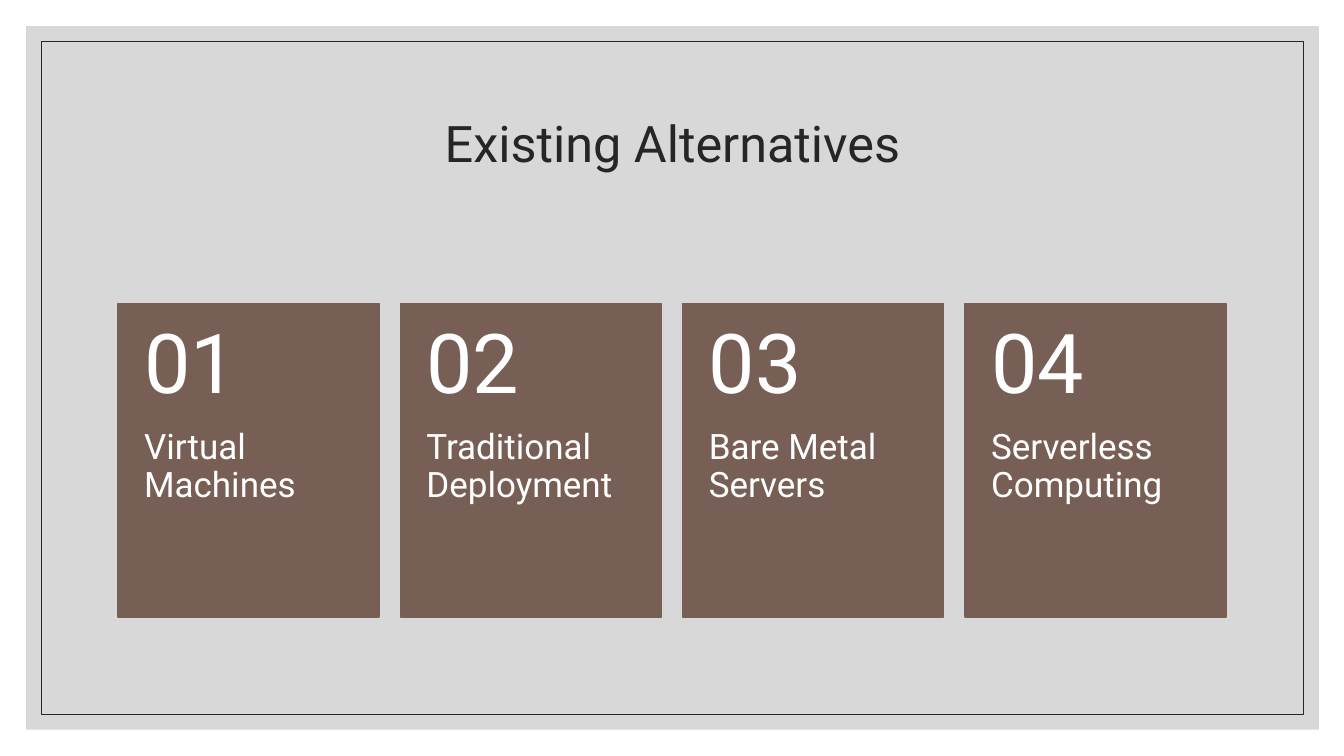
from lxml.etree import SubElement
from pptx import Presentation
from pptx.dml.color import RGBColor
from pptx.enum.shapes import MSO_SHAPE as Shape
from pptx.enum.text import MSO_ANCHOR as Anchor, MSO_AUTO_SIZE as Fit, PP_ALIGN as Align
from pptx.oxml.ns import qn
from pptx.util import Inches, Pt

# Content
TITLE = "Existing Alternatives"
CARDS = ["Virtual Machines", "Traditional Deployment",
         "Bare Metal Servers", "Serverless Computing"]

# Look
FONT = "Roboto"
DARK, WHITE, BROWN, GRAY = "262626", "FFFFFF", "775F55", "BFBFBF"
WIDE, HIGH = 13.33, 7.5
LEFT, TOP, STEP = 1.17, 3.01, 2.8
CARD_W, CARD_H, HEAD_H = 2.59, 3.11, 1.25


def color(code):
    return RGBColor.from_string(code)


def box(at, fill=None, line=None, width=1):
    rect = slide.shapes.add_shape(Shape.RECTANGLE, *map(Inches, at))
    rect.shadow.inherit = False
    if fill:
        rect.fill.solid()
        rect.fill.fore_color.rgb = color(fill)
    else:
        rect.fill.background()
    if line:
        rect.line.color.rgb = color(line)
        rect.line.width = Pt(width)
    else:
        rect.line.fill.background()
    return rect


def write(shape, text, size, ink=WHITE, align=Align.LEFT, anchor=Anchor.TOP,
          pads=(0.1, 0.05, 0.1, 0.05), after=0):
    frame = shape.text_frame
    frame.word_wrap = True
    frame.auto_size = Fit.NONE
    frame.vertical_anchor = anchor
    (frame.margin_left, frame.margin_top,
     frame.margin_right, frame.margin_bottom) = map(Inches, pads)
    para = frame.paragraphs[0]
    para.alignment = align
    para.line_spacing = 0.9
    para.space_after = Pt(after)
    run = para.add_run()
    run.text = text
    run.font.name = FONT
    run.font.size = Pt(size)
    run.font.color.rgb = color(ink)


def label(at, text, size, **look):
    write(slide.shapes.add_textbox(*map(Inches, at)), text, size, **look)


deck = Presentation()
deck.slide_width, deck.slide_height = Inches(WIDE), Inches(HIGH)
slide = deck.slides.add_slide(deck.slide_layouts[5])

# Translucent panel and thin frame
panel = box((0.26, 0.26, 12.82, 6.98), fill=GRAY)
tint = panel.element.spPr.find(qn("a:solidFill"))[0]
SubElement(tint, qn("a:alpha"), val="60000")
box((0.41, 0.41, 12.52, 6.68), line=DARK, width=0.5)

# Title, raised above the panel
title = slide.shapes.title
title.element.getparent().append(title.element)
title.left, title.top, title.width, title.height = map(Inches, (LEFT, 0.7, 11, 1.5))
write(title, TITLE, 36, ink=DARK, align=Align.CENTER, anchor=Anchor.MIDDLE)

# Numbered cards
for i, name in enumerate(CARDS):
    x = LEFT + i * STEP
    box((x, TOP, CARD_W, CARD_H), fill=BROWN, line=BROWN)
    label((x, TOP + HEAD_H, CARD_W, CARD_H - HEAD_H), name, 25,
          pads=(0.26, 0, 0.26, 0.36), after=9)
    label((x, TOP, CARD_W, HEAD_H), f"{i + 1:02}", 59, anchor=Anchor.MIDDLE,
          pads=(0.26, 0.18, 0.26, 0.18), after=21)

deck.save("out.pptx")
